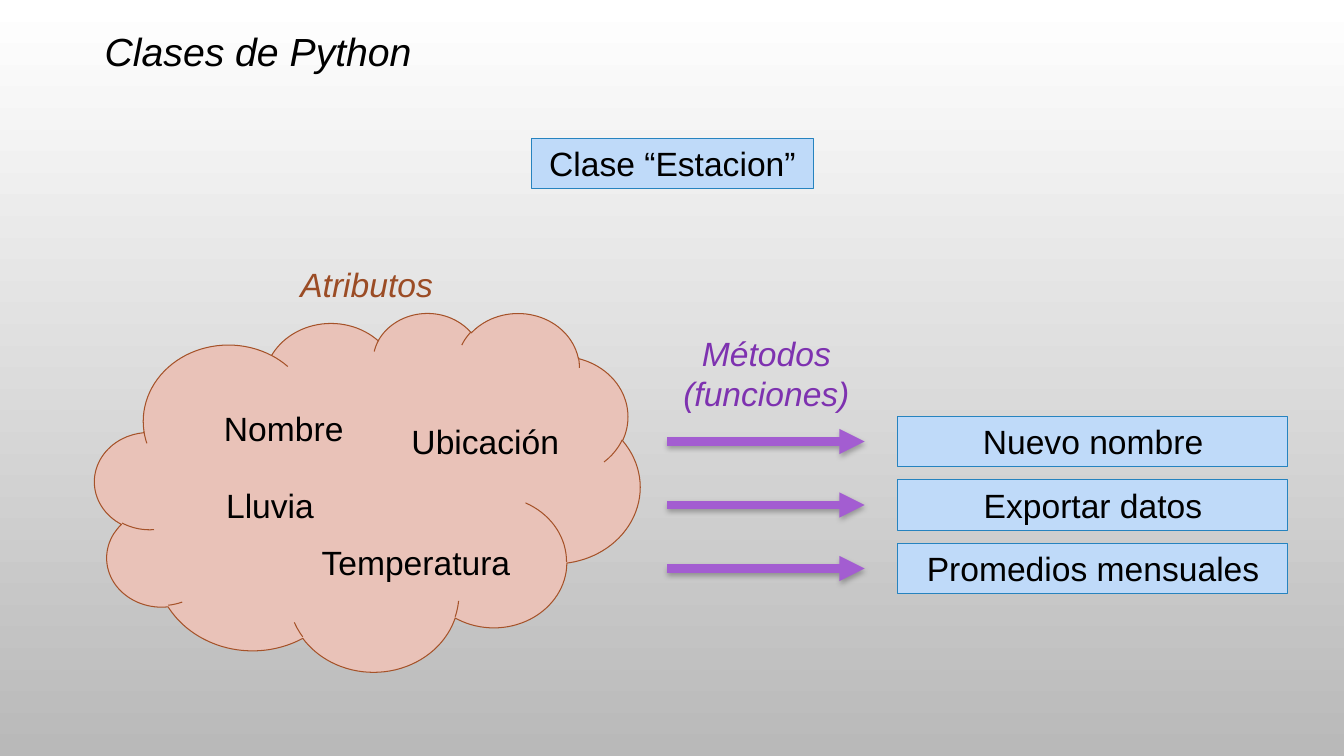
from lxml import etree
from pptx import Presentation
from pptx import util as u
from pptx.dml.color import RGBColor
from pptx.enum import shapes, text
from pptx.oxml import ns

BLACK = RGBColor(0x00, 0x00, 0x00)
WHITE = RGBColor(0xFF, 0xFF, 0xFF)
GREY = RGBColor(0xB9, 0xB9, 0xB9)
BOX_FILL = RGBColor(0xBF, 0xDA, 0xF9)
BOX_LINE = RGBColor(0x26, 0x83, 0xBF)
CLOUD_FILL = RGBColor(0xE9, 0xC2, 0xB8)
CLOUD_LINE = RGBColor(0xA5, 0x52, 0x29)
BROWN = RGBColor(0x9B, 0x4C, 0x25)
PURPLE = RGBColor(0x7E, 0x32, 0xB0)
ARROW = RGBColor(0xA3, 0x5D, 0xD1)

ROW_HEIGHT = 1.27


def write_text(shape, words, size=24, color=BLACK, italic=False,
               align=text.PP_ALIGN.CENTER, font_name="Arial"):
    frame = shape.text_frame
    frame.word_wrap = True
    frame.auto_size = text.MSO_AUTO_SIZE.SHAPE_TO_FIT_TEXT
    paragraph = frame.paragraphs[0]
    paragraph.alignment = align
    run = paragraph.add_run()
    run.text = words
    run.font.name = font_name
    run.font.size = u.Pt(size)
    run.font.italic = italic
    run.font.color.rgb = color


class ClassDiagram:
    """Style and current slide, with a method for each kind of element."""

    thin_line = u.Pt(0.75)
    arrow_line = u.Pt(6)

    def __init__(self, slide):
        self.slide = slide

    def background(self, top_color, bottom_color):
        fill = self.slide.background.fill
        fill.gradient()
        fill.gradient_angle = 270
        for stop, color, position in zip(fill.gradient_stops,
                                         (top_color, bottom_color), (0, 1)):
            stop.color.rgb = color
            stop.position = position

    def outline(self, kind, left, top, width, height, fill, line):
        shape = self.slide.shapes.add_shape(
            kind, u.Cm(left), u.Cm(top), u.Cm(width), u.Cm(height))
        shape.shadow.inherit = False
        shape.fill.solid()
        shape.fill.fore_color.rgb = fill
        shape.line.color.rgb = line
        shape.line.width = self.thin_line
        return shape

    def cloud(self, left, top, width, height):
        self.outline(shapes.MSO_SHAPE.CLOUD, left, top, width, height,
                     CLOUD_FILL, CLOUD_LINE)

    def box(self, words, left, top, width):
        shape = self.outline(shapes.MSO_SHAPE.RECTANGLE, left, top, width,
                             ROW_HEIGHT, BOX_FILL, BOX_LINE)
        write_text(shape, words)

    def label(self, words, left, top, width, height=ROW_HEIGHT, **text_format):
        shape = self.slide.shapes.add_textbox(
            u.Cm(left), u.Cm(top), u.Cm(width), u.Cm(height))
        write_text(shape, words, **text_format)

    def arrow(self, start, end, y):
        connector = self.slide.shapes.add_connector(
            shapes.MSO_CONNECTOR.STRAIGHT,
            u.Cm(start), u.Cm(y), u.Cm(end), u.Cm(y))
        connector.line.color.rgb = ARROW
        connector.line.width = self.arrow_line
        # Arrowhead and soft shadow below
        etree.SubElement(connector.line._get_or_add_ln(),
                         ns.qn("a:tailEnd"), type="triangle")
        effects = etree.SubElement(connector._element.spPr, ns.qn("a:effectLst"))
        shadow = etree.SubElement(
            effects, ns.qn("a:outerShdw"), blurRad=str(u.Pt(4)),
            dist=str(u.Pt(2)), dir="5400000", rotWithShape="0")
        color = etree.SubElement(shadow, ns.qn("a:srgbClr"), val=str(BLACK))
        etree.SubElement(color, ns.qn("a:alpha"), val="28000")


def main():
    presentation = Presentation()
    presentation.slide_width = u.Cm(33.87)
    presentation.slide_height = u.Cm(19.05)
    slide = presentation.slides.add_slide(presentation.slide_layouts[6])
    diagram = ClassDiagram(slide)
    diagram.background(WHITE, GREY)

    # Title and class name
    diagram.label("Clases de Python", 2.39, 0.56, 31.04, 1.45, size=28,
                  italic=True, align=text.PP_ALIGN.LEFT)
    diagram.box("Clase “Estacion”", 13.39, 3.48, 7.11)

    # Attributes
    diagram.cloud(2.39, 7.87, 13.74, 9.04)
    diagram.label("Atributos", 6.99, 6.53, 4.5, color=BROWN, italic=True)
    for name, left, top, width in (("Nombre", 5.08, 10.16, 4.14),
                                   ("Ubicación", 9.98, 10.49, 4.5),
                                   ("Lluvia", 5.08, 12.09, 3.45),
                                   ("Temperatura", 7.62, 13.54, 5.72)):
        diagram.label(name, left, top, width)

    # Methods
    diagram.label("Métodos (funciones)", 16.71, 8.26, 5.21, 2.31,
                  color=PURPLE, italic=True)
    methods = ("Nuevo nombre", "Exportar datos", "Promedios mensuales")
    for row, method in enumerate(methods):
        top = 10.49 + row * 1.6
        diagram.arrow(16.81, 21.79, top + ROW_HEIGHT / 2)
        diagram.box(method, 22.63, top, 9.83)

    presentation.save("out.pptx")


if __name__ == "__main__":
    main()
